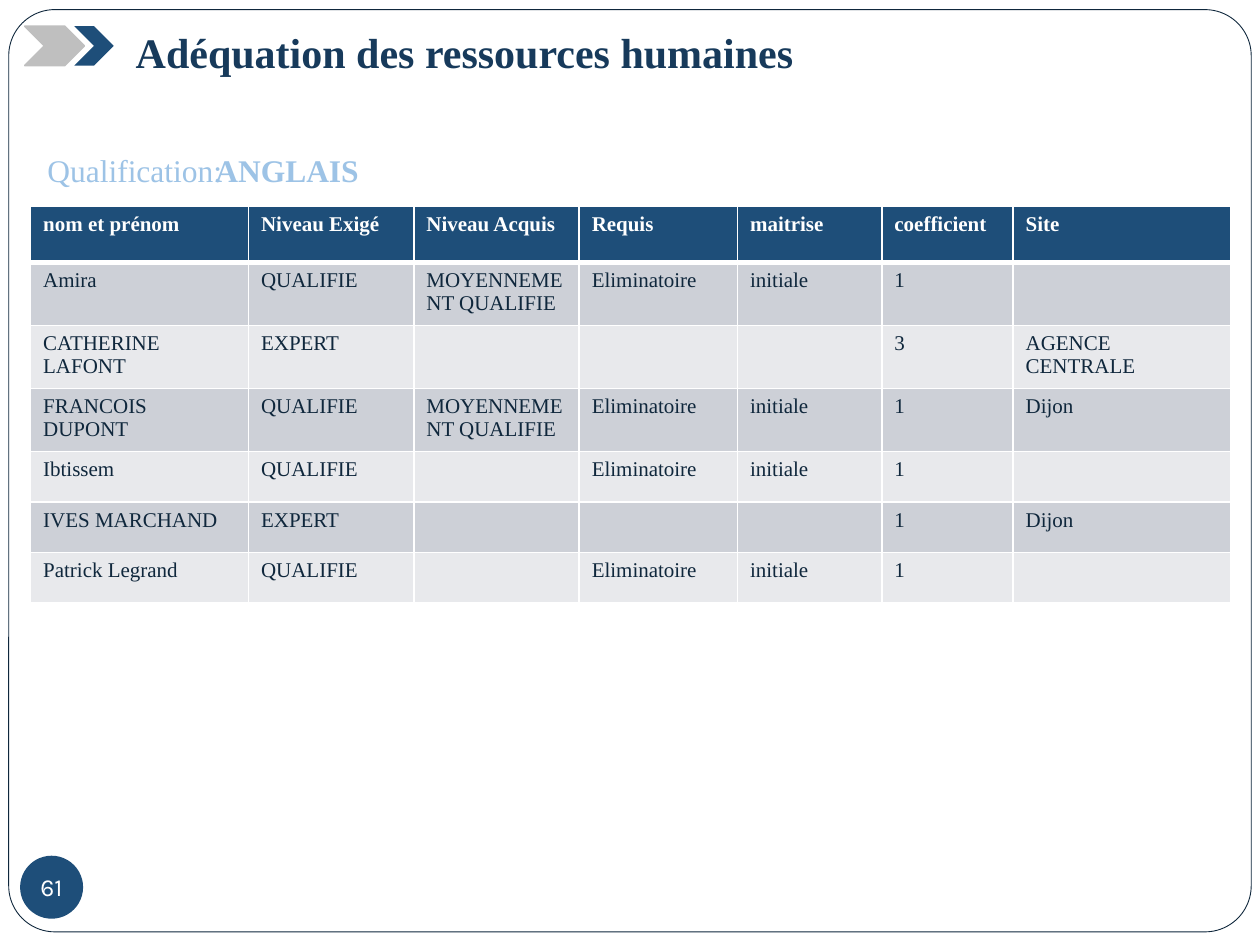
from lxml import etree
from pptx import Presentation
from pptx.dml.color import RGBColor
from pptx.enum import shapes, text
from pptx.oxml import ns
from pptx.util import Pt

WHITE = RGBColor(0xFF, 0xFF, 0xFF)
INK = RGBColor(0x0F, 0x27, 0x3C)
TITLE_BLUE = RGBColor(0x17, 0x3A, 0x5B)
DARK_BLUE = RGBColor(0x1E, 0x4E, 0x79)
LIGHT_BLUE = RGBColor(0x9D, 0xC3, 0xE6)
GREY = RGBColor(0xBF, 0xBF, 0xBF)
BANDS = (RGBColor(0xCD, 0xD0, 0xD7), RGBColor(0xE8, 0xE9, 0xEC))
SERIF = "Times New Roman"

COLUMN_WIDTHS = (124.5, 94.5, 94.5, 90.5, 82.5, 75, 124.5)
ROW_HEIGHTS = (32, 36, 36, 36, 28.8, 28.8, 28.8)
STAFF = (
    ("nom et prénom", "Niveau Exigé", "Niveau Acquis", "Requis", "maitrise", "coefficient", "Site"),
    ("Amira", "QUALIFIE", "MOYENNEMENT QUALIFIE", "Eliminatoire", "initiale", "1", ""),
    ("CATHERINE LAFONT", "EXPERT", "", "", "", "3", "AGENCE CENTRALE"),
    ("FRANCOIS DUPONT", "QUALIFIE", "MOYENNEMENT QUALIFIE", "Eliminatoire", "initiale", "1", "Dijon"),
    ("Ibtissem", "QUALIFIE", "", "Eliminatoire", "initiale", "1", ""),
    ("IVES MARCHAND", "EXPERT", "", "", "", "1", "Dijon"),
    ("Patrick Legrand", "QUALIFIE", "", "Eliminatoire", "initiale", "1", ""),
)


def write(paragraph, words, color, **font_format):
    run = paragraph.add_run()
    run.text = words
    run.font.color.rgb = color
    for name, value in font_format.items():
        setattr(run.font, name, value)


def add_figure(slide, kind, box, fill, line=None, line_width=1):
    figure = slide.shapes.add_shape(kind, *map(Pt, box))
    figure.shadow.inherit = False
    figure.fill.solid()
    figure.fill.fore_color.rgb = fill
    if line is None:
        figure.line.fill.background()
    else:
        figure.line.color.rgb = line
        figure.line.width = Pt(line_width)
    return figure


def add_label(slide, box, words, color, size, bold=False):
    frame = slide.shapes.add_textbox(*map(Pt, box)).text_frame
    frame.word_wrap = True
    frame.auto_size = text.MSO_AUTO_SIZE.SHAPE_TO_FIT_TEXT
    write(frame.paragraphs[0], words, color, name=SERIF, size=Pt(size), bold=bold)


def add_page_number(slide, box, number):
    badge = add_figure(slide, shapes.MSO_SHAPE.OVAL, box, DARK_BLUE)
    frame = badge.text_frame
    frame_format = dict(margin_left=0, margin_top=0, margin_right=0, margin_bottom=0,
                        word_wrap=False, vertical_anchor=text.MSO_ANCHOR.MIDDLE)
    for name, value in frame_format.items():
        setattr(frame, name, value)
    frame.paragraphs[0].alignment = text.PP_ALIGN.CENTER
    write(frame.paragraphs[0], number, WHITE, name="Karla", size=Pt(14))


def set_borders(cell, **widths):
    """Draw white borders; the keys are the sides L, R, T and B."""
    properties = cell._tc.get_or_add_tcPr()
    for position, (side, width) in enumerate(widths.items()):
        border = etree.Element(ns.qn(f"a:ln{side}"), w=str(Pt(width)))
        fill = etree.SubElement(border, ns.qn("a:solidFill"))
        etree.SubElement(fill, ns.qn("a:srgbClr"), val=str(WHITE))
        properties.insert(position, border)


def add_staff_table(slide, left, top):
    table = slide.shapes.add_table(
        len(STAFF), len(COLUMN_WIDTHS), Pt(left), Pt(top),
        Pt(sum(COLUMN_WIDTHS)), Pt(sum(ROW_HEIGHTS))).table
    for column, width in zip(table.columns, COLUMN_WIDTHS):
        column.width = Pt(width)
    for index, (row, height, entries) in enumerate(zip(table.rows, ROW_HEIGHTS, STAFF)):
        row.height = Pt(height)
        header = index == 0
        for cell, entry in zip(row.cells, entries):
            cell.fill.solid()
            cell.fill.fore_color.rgb = DARK_BLUE if header else BANDS[(index - 1) % 2]
            set_borders(cell, L=1, R=1, T=3 if index == 1 else 1, B=3 if header else 1)
            if entry:
                write(cell.text_frame.paragraphs[0], entry, WHITE if header else INK,
                      name=SERIF, size=Pt(12), bold=header)


def main():
    deck = Presentation()
    deck.slide_width, deck.slide_height = Pt(720), Pt(540)
    slide = deck.slides.add_slide(deck.slide_layouts[6])

    border = add_figure(slide, shapes.MSO_SHAPE.ROUNDED_RECTANGLE,
                        (5, 5.5, 710, 527), WHITE, INK, 0.5)
    border.adjustments[0] = 0.05
    add_label(slide, (70.5, 11.5, 618, 36), "Adéquation des ressources humaines",
              TITLE_BLUE, 24, bold=True)
    add_figure(slide, shapes.MSO_SHAPE.CHEVRON, (14.2, 15, 34, 22.5), GREY, GREY)
    add_figure(slide, shapes.MSO_SHAPE.CHEVRON, (42.5, 15, 22.5, 22.5), DARK_BLUE)
    add_page_number(slide, (11.5, 489, 36, 36), "61")
    add_label(slide, (20, 83, 158.5, 29), "Qualification:", LIGHT_BLUE, 18)
    add_label(slide, (116, 83, 391, 29), "ANGLAIS", LIGHT_BLUE, 18, bold=True)
    add_staff_table(slide, 17.5, 118)

    deck.save("out.pptx")


if __name__ == "__main__":
    main()
